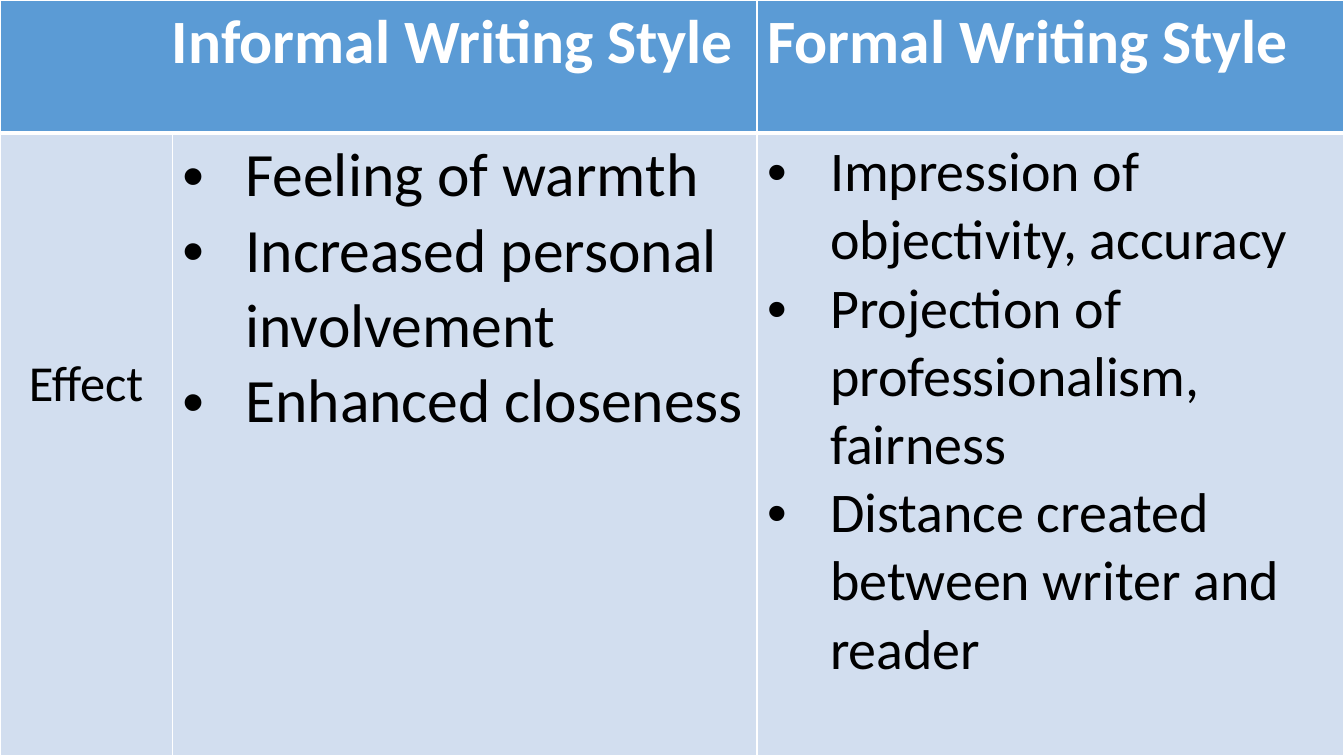
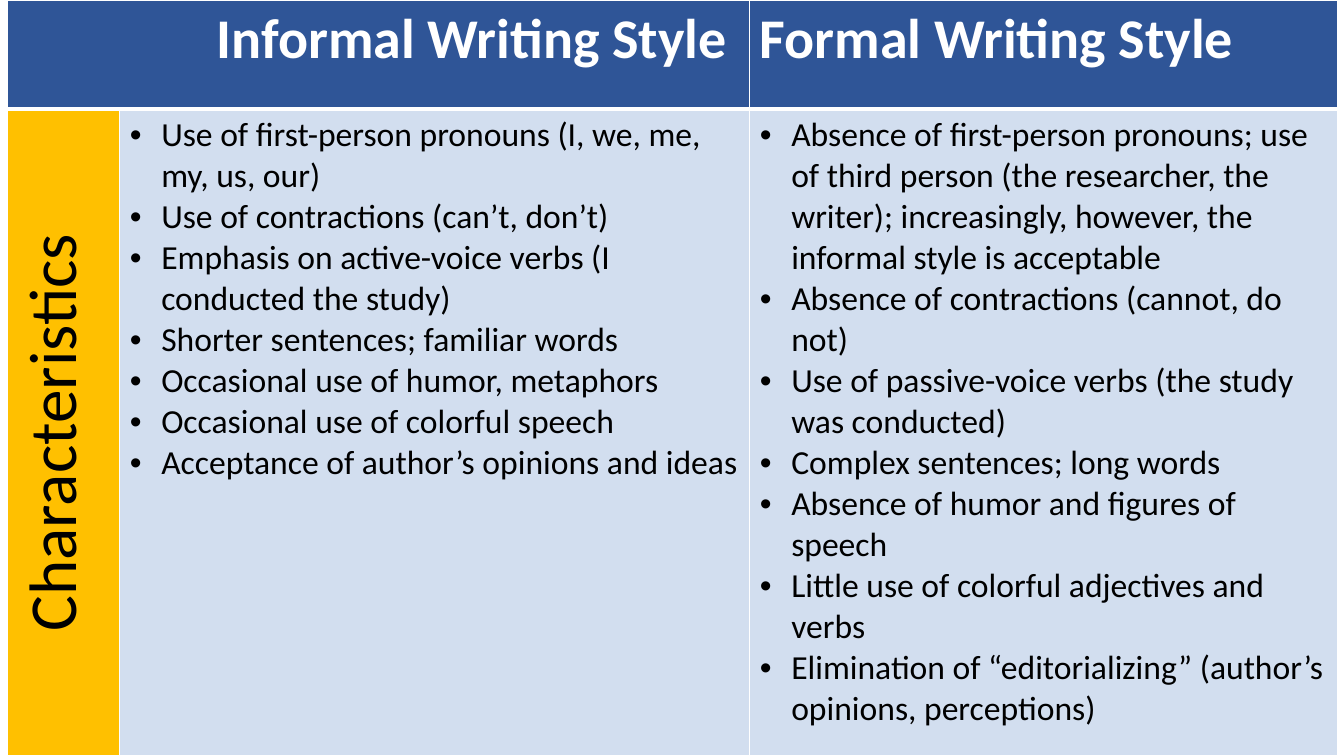
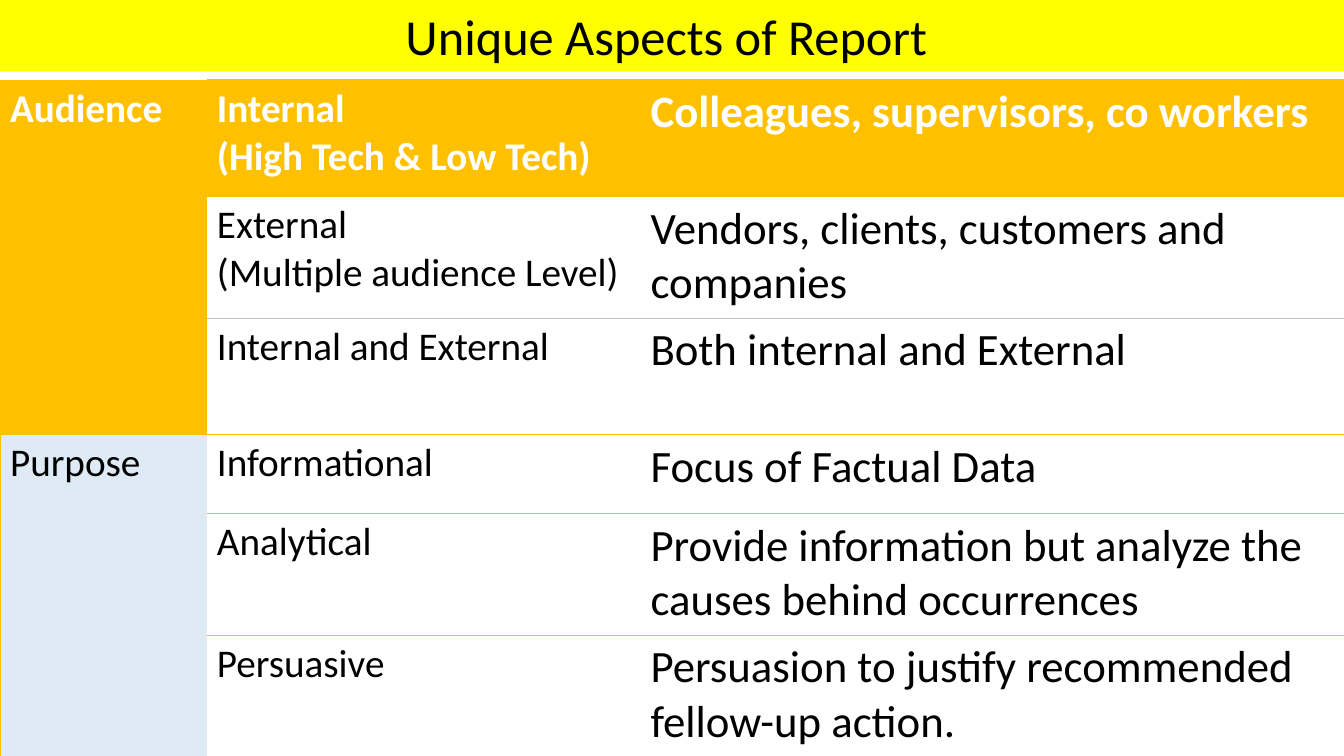
from dataclasses import dataclass, field
from typing import Any, NamedTuple

from lxml import etree
from pptx import Presentation
from pptx import util as u
from pptx.dml.color import RGBColor
from pptx.enum import shapes, text
from pptx.oxml.ns import qn

PX = 9525
FONT = "Calibri"
PLAIN_TABLE_STYLE = "{2D5ABB26-0587-4C30-8999-92F81FD0307C}"
COLORS = {
    "white": "FFFFFF", "black": "000000", "sky": "5B9BD5", "navy": "2F5597",
    "pale": "D2DEEF", "ice": "DEEBF7", "gold": "FFC000", "yellow": "FFFF00",
    "grey": "BFBFBF",
}
SIDES = {"left": "a:lnL", "right": "a:lnR", "top": "a:lnT", "bottom": "a:lnB"}


class Edge(NamedTuple):
    color: str
    points: float


@dataclass
class Entry:
    """One table cell; span counts rows and columns, margins are in px."""
    lines: list[str]
    size: int
    color: str = "black"
    bold: bool = False
    fill: str | None = None
    align: Any = text.PP_ALIGN.LEFT
    indent: int = 0
    vertical: str | None = None
    margins: dict[str, int] = field(default_factory=dict)
    span: tuple[int, int] = (1, 1)
    edges: dict[str, Edge] = field(default_factory=dict)


@dataclass
class Grid:
    left: int
    top: int
    widths: list[int]
    heights: list[int]
    entries: dict[tuple[int, int], Entry]


def px(length: int) -> u.Emu:
    return u.Emu(length * PX)


def rgb(name: str) -> RGBColor:
    return RGBColor.from_string(COLORS[name])


def add_bullet(para: Any, indent: int) -> None:
    props = para._p.get_or_add_pPr()
    props.set("marL", str(px(indent)))
    props.set("indent", str(px(-indent)))
    etree.SubElement(props, qn("a:buFont"), typeface="Arial")
    etree.SubElement(props, qn("a:buChar"), char="•")


def write(frame: Any, entry: Entry) -> None:
    formats = {"name": FONT, "size": u.Pt(entry.size), "bold": entry.bold}
    for index, line in enumerate(entry.lines):
        para = frame.add_paragraph() if index else frame.paragraphs[0]
        para.alignment = entry.align
        if entry.indent:
            add_bullet(para, entry.indent)
        span = para.add_run()
        span.text = line
        span.font.color.rgb = rgb(entry.color)
        for key, value in formats.items():
            setattr(span.font, key, value)


def style_cell(cell: Any, entry: Entry) -> None:
    props = cell._tc.get_or_add_tcPr()
    for side, tag in SIDES.items():
        if side in entry.edges:
            edge = entry.edges[side]
            line = etree.SubElement(props, qn(tag), w=str(u.Pt(edge.points)))
            fill = etree.SubElement(line, qn("a:solidFill"))
            etree.SubElement(fill, qn("a:srgbClr"), val=COLORS[edge.color])
    if entry.fill:
        cell.fill.solid()
        cell.fill.fore_color.rgb = rgb(entry.fill)
    else:
        cell.fill.background()


def draw_grid(page: Any, grid: Grid) -> None:
    frame = page.shapes.add_table(
        len(grid.heights), len(grid.widths), px(grid.left), px(grid.top),
        px(sum(grid.widths)), px(sum(grid.heights)))
    table = frame.table
    table.first_row = table.horz_banding = False
    table._tbl.tblPr.find(qn("a:tableStyleId")).text = PLAIN_TABLE_STYLE
    for column, width in zip(table.columns, grid.widths):
        column.width = px(width)
    for row, height in zip(table.rows, grid.heights):
        row.height = px(height)
    for (row, column), entry in grid.entries.items():
        rows, columns = entry.span
        for r in range(row, row + rows):
            for c in range(column, column + columns):
                style_cell(table.cell(r, c), entry)
        cell = table.cell(row, column)
        if entry.span != (1, 1):
            cell.merge(table.cell(row + rows - 1, column + columns - 1))
        for side, margin in entry.margins.items():
            setattr(cell, f"margin_{side}", px(margin))
        if entry.vertical:
            cell._tc.get_or_add_tcPr().set("vert", entry.vertical)
        write(cell.text_frame, entry)


def comparison(label: Entry, informal: Entry, formal: Entry, head_fill: str,
               head_size: int, left: int, widths: list[int],
               heights: list[int]) -> Grid:
    """Informal and formal style side by side, under a heading row."""
    thin, thick = Edge("white", 1), Edge("white", 3)
    heads = [
        Entry(["Informal Writing Style"], head_size, "white", True, head_fill,
              text.PP_ALIGN.RIGHT, margins={"right": 22}, span=(1, 2)),
        Entry(["Formal Writing Style"], head_size, "white", True, head_fill),
    ]
    for head in heads:
        head.edges = dict.fromkeys(SIDES, thin) | {"bottom": thick}
    for body in (label, informal, formal):
        body.edges = dict.fromkeys(SIDES, thin) | {"top": thick}
    entries = {(0, 0): heads[0], (0, 2): heads[1], (1, 0): label,
               (1, 1): informal, (1, 2): formal}
    return Grid(left, 0, widths, heights, entries)


def bullets(lines: list[str], size: int, indent: int) -> Entry:
    return Entry(lines, size, fill="pale", indent=indent)


def effect_grid() -> Grid:
    return comparison(
        Entry(["Effect"], 36, fill="pale", align=text.PP_ALIGN.CENTER,
              margins={"top": 210}),
        bullets(["Feeling of warmth", "Increased personal involvement",
                 "Enhanced closeness"], 44, 60),
        bullets(["Impression of objectivity, accuracy",
                 "Projection of professionalism, fairness",
                 "Distance created between writer and reader"], 40, 60),
        "sky", 44, 0, [164, 557, 559], [127, 593])


def characteristics_grid() -> Grid:
    return comparison(
        Entry(["Characteristics"], 48, fill="gold",
              align=text.PP_ALIGN.CENTER, vertical="vert270"),
        bullets(["Use of first-person pronouns (I, we, me, my, us, our)",
                 "Use of contractions (can’t, don’t)",
                 "Emphasis on active-voice verbs (I conducted the study)",
                 "Shorter sentences; familiar words",
                 "Occasional use of humor, metaphors",
                 "Occasional use of colorful speech",
                 "Acceptance of author’s opinions and ideas"], 24, 30),
        bullets(["Absence of first-person pronouns; use of third person "
                 "(the researcher, the writer); increasingly, however, "
                 "the informal style is acceptable",
                 "Absence of contractions (cannot, do not)",
                 "Use of passive-voice verbs (the study was conducted)",
                 "Complex sentences; long words",
                 "Absence of humor and figures of speech",
                 "Little use of colorful adjectives and verbs",
                 "Elimination of “editorializing” (author’s opinions, "
                 "perceptions)"], 24, 30),
        "navy", 40, 7, [107, 600, 560], [104, 616])


def aspects_grid() -> Grid:
    gold, grey = Edge("gold", 0.5), Edge("grey", 0.5)
    aspects = [
        (["Internal", "(High Tech & Low Tech)"],
         "Colleagues, supervisors, co workers", gold),
        (["External", "(Multiple audience Level)"],
         "Vendors, clients, customers and companies", gold),
        (["Internal and External"], "Both internal and External", grey),
        (["Informational"], "Focus of Factual Data", gold),
        (["Analytical"],
         "Provide information but analyze the causes behind occurrences", gold),
        (["Persuasive"],
         "Persuasion to justify recommended fellow-up action.", gold),
    ]
    entries = {
        (0, 0): Entry(["Audience"], 28, "white", True, "gold", span=(3, 1)),
        (3, 0): Entry(["Purpose"], 28, fill="ice", span=(3, 1),
                      edges={"left": gold}),
    }
    for row, (kind, detail, rule) in enumerate(aspects):
        look = ("black", False, None) if row else ("white", True, "gold")
        above = {"top": rule}
        if row + 1 < len(aspects):
            above["bottom"] = aspects[row + 1][2]
        entries[row, 1] = Entry(kind, 28, *look, edges=above)
        entries[row, 2] = Entry([detail], 32, *look, edges=above)
    return Grid(0, 76, [197, 413, 670], [111, 116, 111, 75, 116, 115], entries)


def draw_title_band(page: Any, title: str) -> None:
    band = page.shapes.add_shape(
        shapes.MSO_SHAPE.RECTANGLE, 0, 0, px(1280), px(68))
    band.shadow.inherit = False
    band.fill.solid()
    band.fill.fore_color.rgb = rgb("yellow")
    band.line.fill.background()
    frame = band.text_frame
    settings = {"word_wrap": True, "margin_right": px(20),
                "vertical_anchor": text.MSO_ANCHOR.MIDDLE}
    for key, value in settings.items():
        setattr(frame, key, value)
    write(frame, Entry([title], 36, align=text.PP_ALIGN.CENTER))


def main() -> None:
    deck = Presentation()
    deck.slide_width, deck.slide_height = px(1280), px(720)
    for grid, title in ((effect_grid(), None), (characteristics_grid(), None),
                        (aspects_grid(), "Unique Aspects of Report")):
        page = deck.slides.add_slide(deck.slide_layouts[6])
        if title:
            draw_title_band(page, title)
        draw_grid(page, grid)
    deck.save("out.pptx")


if __name__ == "__main__":
    main()
